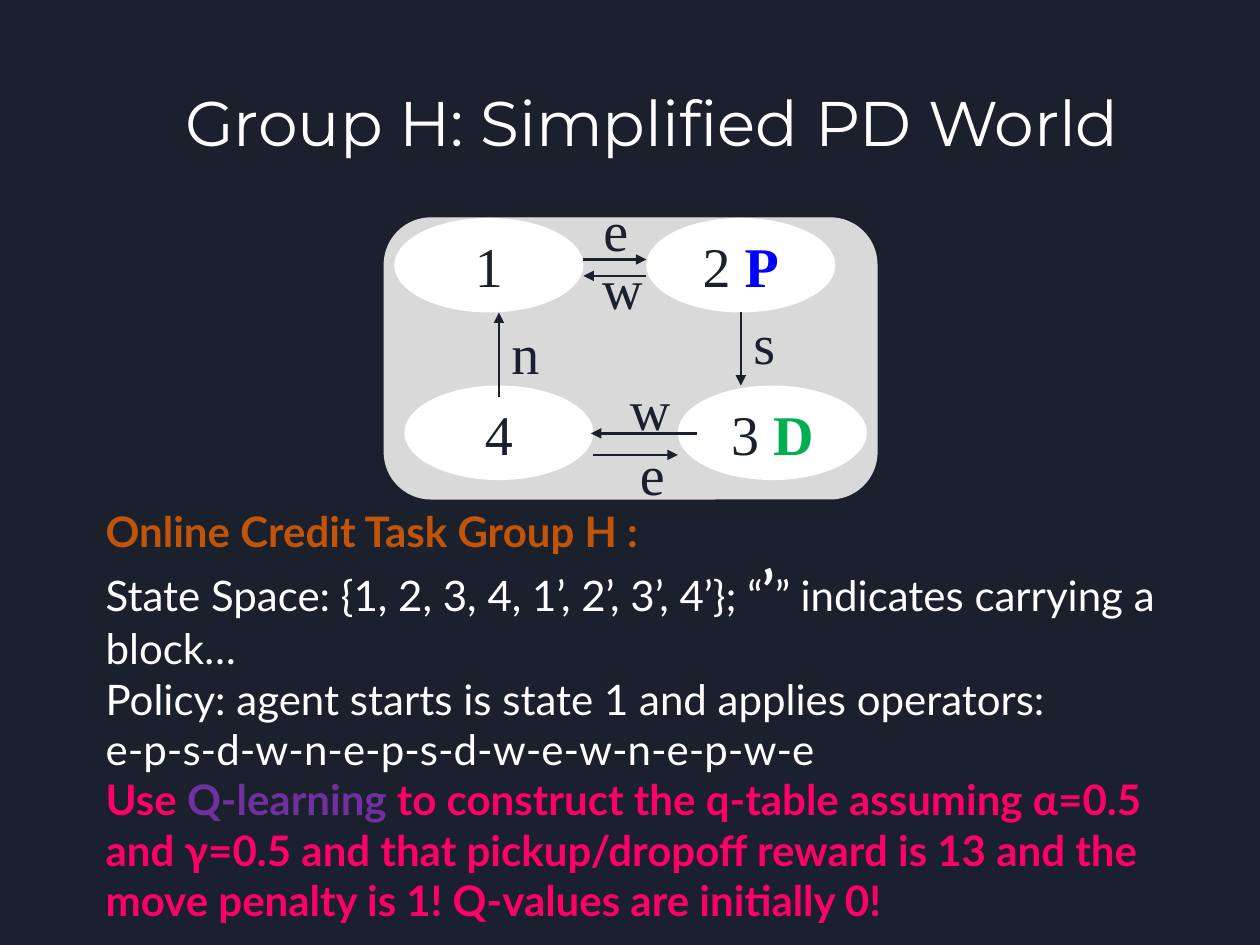
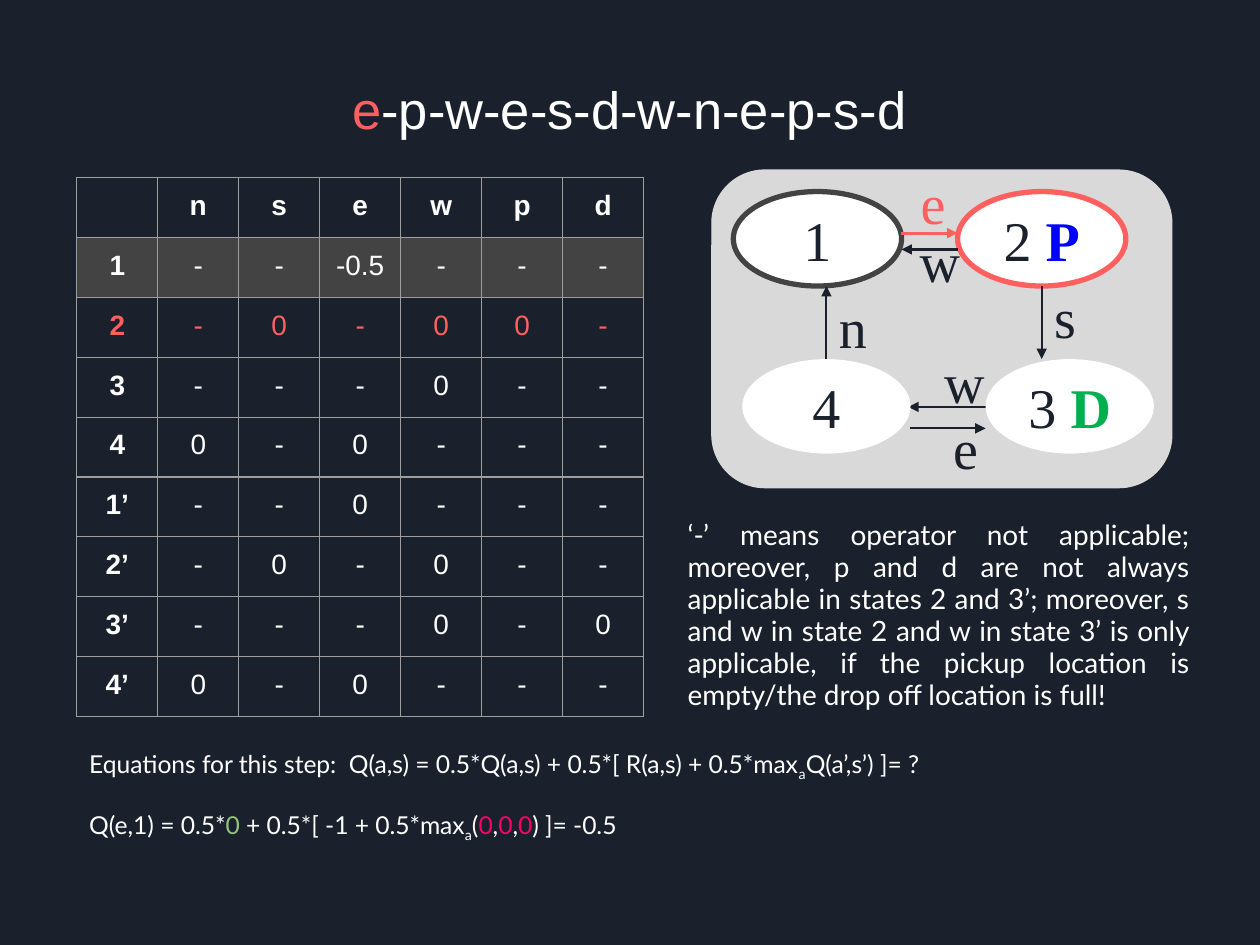
import pptx
import pptx.dml.color
import pptx.enum.shapes
import pptx.enum.text
import pptx.oxml
import pptx.oxml.ns
import pptx.util
from pptx.util import Inches

COLORS = {
    "night": "1B212C", "white": "FFFFFF", "panel": "D9D9D9", "grid": "9E9E9E",
    "visited": "434343", "current": "FF5F5F", "pickup": "0000FF", "dropoff": "00B050",
    "heading": "C2540A", "task": "FF0066", "method": "7030A0", "old_value": "93C47D",
}
SHAPES = pptx.enum.shapes.MSO_SHAPE
ALIGN = pptx.enum.text.PP_ALIGN
ANCHOR = pptx.enum.text.MSO_ANCHOR

# Text styles
STATE = {"name": "Times New Roman", "size": 32, "color": "night"}
BODY = {"name": "Lato", "size": 24, "color": "white"}
NOTE = {**BODY, "size": 16}
EQUATION = {**BODY, "size": 14.1}
SUBSCRIPT = {"size": 14, "baseline": -25000}
CELL = {"name": "Arial", "size": 16, "color": "white"}

# World: places relative to the top left of state 1
STATE_SIZE = (1.5, 0.75)
STATES = {
    "1": (0, 0, [("1", {})]),
    "2": (2, 0, [("2 ", {}), ("P", {"color": "pickup", "bold": True})]),
    "3": (2.25, 1.33, [("3 ", {}), ("D", {"color": "dropoff", "bold": True})]),
    "4": (0.08, 1.33, [("4", {})]),
}
# Each move: operator, arrow start and end, label left, top and width
MOVES = [
    ("e", (1.5, 0.33), (2, 0.33), (1.56, -0.23, 0.4)),
    ("w", (2, 0.46), (1.5, 0.46), (1.55, 0.23, 0.4)),
    ("s", (2.75, 0.75), (2.75, 1.33), (2.75, 0.67, 0.38)),
    ("n", (0.83, 1.42), (0.83, 0.75), (0.83, 0.75, 0.25)),
    ("w", (2.4, 1.71), (1.56, 1.71), (1.77, 1.19, 0.4)),
    ("e", (1.58, 1.88), (2.25, 1.88), (1.85, 1.71, 0.4)),
]

Q_TABLE = [
    ["", "n", "s", "e", "w", "p", "d"],
    ["1", "-", "-", "-0.5", "-", "-", "-"],
    ["2", "-", "0", "-", "0", "0", "-"],
    ["3", "-", "-", "-", "0", "-", "-"],
    ["4", "0", "-", "0", "-", "-", "-"],
    ["1’", "-", "-", "0", "-", "-", "-"],
    ["2’", "-", "0", "-", "0", "-", "-"],
    ["3’", "-", "-", "-", "0", "-", "0"],
    ["4’", "0", "-", "0", "-", "-", "-"],
]


def rgb(name):
    return pptx.dml.color.RGBColor.from_string(COLORS[name])


def format_span(span, style):
    for key, value in style.items():
        if key == "color":
            span.font.color.rgb = rgb(value)
        elif key == "baseline":
            span._r.get_or_add_rPr().set("baseline", str(value))
        else:
            setattr(span.font, key, pptx.util.Pt(value) if key == "size" else value)


def write(frame, paragraphs, style, **para_format):
    """Fill a text frame; each paragraph is a list of (text, style changes)."""
    for index, spans in enumerate(paragraphs):
        para = frame.add_paragraph() if index else frame.paragraphs[0]
        for key, value in para_format.items():
            setattr(para, key, value)
        for text, changes in spans:
            span = para.add_run()
            span.text = text
            format_span(span, {**style, **changes})


def add_title(page, left, top, spans, style, **para_format):
    title = page.shapes.title
    title.left, title.top = Inches(left), Inches(top)
    title.width, title.height = Inches(8.33), Inches(1.25)
    title.text_frame.auto_size = pptx.enum.text.MSO_AUTO_SIZE.NONE
    title.text_frame.vertical_anchor = ANCHOR.MIDDLE
    write(title.text_frame, [spans], {**style, "color": "white"} if "color" not in style else style,
          alignment=ALIGN.CENTER, **para_format)


def add_text(page, left, top, width, height, paragraphs, style, **para_format):
    box = page.shapes.add_textbox(*map(Inches, (left, top, width, height)))
    box.text_frame.word_wrap = True
    write(box.text_frame, paragraphs, style, **para_format)
    return box


def add_figure(page, kind, place, fill, outline=None, weight=0.75):
    figure = page.shapes.add_shape(kind, *map(Inches, place))
    figure.shadow.inherit = False
    figure.fill.solid()
    figure.fill.fore_color.rgb = rgb(fill)
    if outline:
        figure.line.color.rgb = rgb(outline)
        figure.line.width = pptx.util.Pt(weight)
    else:
        figure.line.fill.background()
    return figure


def add_arrow(page, start, end, color, weight):
    arrow = page.shapes.add_connector(
        pptx.enum.shapes.MSO_CONNECTOR.STRAIGHT, *map(Inches, (*start, *end)))
    arrow.line.color.rgb = rgb(color)
    arrow.line.width = pptx.util.Pt(weight)
    tail = pptx.oxml.parse_xml(f'<a:tailEnd {pptx.oxml.ns.nsdecls("a")} type="triangle"/>')
    arrow.line._get_or_add_ln().append(tail)
    arrow._element.spPr.append(
        pptx.oxml.parse_xml(f'<a:effectLst {pptx.oxml.ns.nsdecls("a")}/>'))


def add_world(page, left, top, scale, panel, outlines, active, lower_on_top):
    """Draw the four states and their moves; scale narrows the width only."""
    def place(x, y):
        return left + x * scale, top + y

    def add_states(names):
        width, height = STATE_SIZE
        for name in names:
            x, y, spans = STATES[name]
            state = add_figure(page, SHAPES.OVAL, (*place(x, y), width * scale, height),
                               "white", outlines.get(name), 3)
            state.text_frame.vertical_anchor = ANCHOR.MIDDLE
            write(state.text_frame, [spans], STATE, alignment=ALIGN.CENTER)

    add_figure(page, SHAPES.ROUNDED_RECTANGLE, panel, "panel", "panel")
    add_states("12" if lower_on_top else "1234")
    for index, (operator, start, end, _) in enumerate(MOVES):
        add_arrow(page, place(*start), place(*end),
                  active if index == 0 else "night", 1.75 if index == 0 else 1.25)
    if lower_on_top:
        add_states("34")
    for index, (operator, _, _, (x, y, width)) in enumerate(MOVES):
        add_text(page, *place(x, y), width * scale, 0.64, [[(operator, {})]],
                 {**STATE, "color": active if index == 0 else "night"})


def add_borders(cell):
    properties = cell._tc.get_or_add_tcPr()
    for index, side in enumerate("LRTB"):
        properties.insert(index, pptx.oxml.parse_xml(
            f'<a:ln{side} {pptx.oxml.ns.nsdecls("a")} w="9525"><a:solidFill>'
            f'<a:srgbClr val="{COLORS["grid"]}"/></a:solidFill></a:ln{side}>'))


def add_q_table(page, left, top, width, height, visited, current):
    rows, columns = len(Q_TABLE), len(Q_TABLE[0])
    table = page.shapes.add_table(
        rows, columns, *map(Inches, (left, top, width, height))).table
    table.first_row = table.horz_banding = False
    for row, values in enumerate(Q_TABLE):
        for column, value in enumerate(values):
            cell = table.cell(row, column)
            margin = Inches(0.1 if value else 0)
            for side in ("left", "right", "top", "bottom"):
                setattr(cell, f"margin_{side}", margin)
            if row == visited:
                cell.fill.solid()
                cell.fill.fore_color.rgb = rgb("visited")
            else:
                cell.fill.background()
            add_borders(cell)
            if value:
                color = "current" if row == current else "white"
                write(cell.text_frame, [[(value, {})]],
                      {**CELL, "color": color, "bold": row == 0 or column == 0},
                      alignment=ALIGN.CENTER)


def build_task(deck):
    page = deck.slides.add_slide(deck.slide_layouts[5])
    add_title(page, 1.01, 0.34, [("Group H: Simplified PD World", {})],
              {"name": "Montserrat", "size": 36})
    add_world(page, 3.13, 1.73, 1, (3.05, 1.73, 3.91, 2.23), {}, "night", False)
    task = {"color": "task", "bold": True}
    add_text(page, 0.74, 3.96, 9.01, 3.47, [
        [("Online Credit Task Group H :", {"color": "heading", "bold": True})],
        [("State Space: {1, 2, 3, 4, 1’, 2’, 3’, 4’}; “", {}),
         ("’", {"size": 32, "bold": True}),
         ("” indicates carrying a block…", {})],
        [("Policy: agent starts is state 1 and applies operators:", {})],
        [("e-p-s-d-w-n-e-p-s-d-w-e-w-n-e-p-w-e", {})],
        [("Use ", task), ("Q-learning ", {**task, "color": "method"}),
         ("to construct the q-table assuming α=0.5 and γ=0.5 and that pickup/dropoff "
          "reward is 13 and the move penalty is 1! Q-values are initially 0!", task)],
    ], BODY)


def build_first_step(deck):
    page = deck.slides.add_slide(deck.slide_layouts[5])
    add_title(page, 0.83, 0.2,
              [("e", {"color": "current"}), ("-p-w-e-s-d-w-n-e-p-s-d", {})],
              {"name": "Arial", "size": 30}, line_spacing=1.15)
    add_text(page, 5.36, 4.08, 4.18, 1.66, [[(
        "‘-’ means operator not applicable; moreover, p and d are not always applicable "
        "in states 2 and 3’; moreover, s and w in state 2 and w in state 3’ is only "
        "applicable, if the pickup location is empty/the drop off location is full!", {})]],
        NOTE, alignment=ALIGN.JUSTIFY, line_spacing=0.95)
    add_q_table(page, 0.61, 1.41, 4.5, 4.28, visited=1, current=2)
    add_world(page, 5.82, 1.52, 0.89, (5.65, 1.35, 3.65, 2.52),
              {"1": "visited", "2": "current"}, "current", True)

    # Update rule and its values for this step
    zero = ("0", {"color": "task"})
    equations = add_text(page, 0.61, 5.89, 8.68, 1.25, [
        [("Equations for this step:  Q(a,s) = 0.5*Q(a,s) + 0.5*[ R(a,s) + 0.5*max", {}),
         ("a", SUBSCRIPT), ("Q(a’,s’) ]= ?", {})],
        [("Q(e,1) = 0.5*", {}), ("0", {"color": "old_value"}),
         (" + 0.5*[ -1 + 0.5*max", {}), ("a", SUBSCRIPT), ("(", {}),
         zero, (",", {}), zero, (",", {}), zero, (") ]= -0.5", {})],
    ], EQUATION, alignment=ALIGN.JUSTIFY, line_spacing=0.95)
    equations.text_frame.paragraphs[1].space_before = pptx.util.Pt(17)


def main():
    deck = pptx.Presentation()
    deck.slide_width, deck.slide_height = Inches(10), Inches(7.5)
    backdrop = deck.slide_master.background.fill
    backdrop.solid()
    backdrop.fore_color.rgb = rgb("night")
    build_task(deck)
    build_first_step(deck)
    deck.save("out.pptx")


if __name__ == "__main__":
    main()
